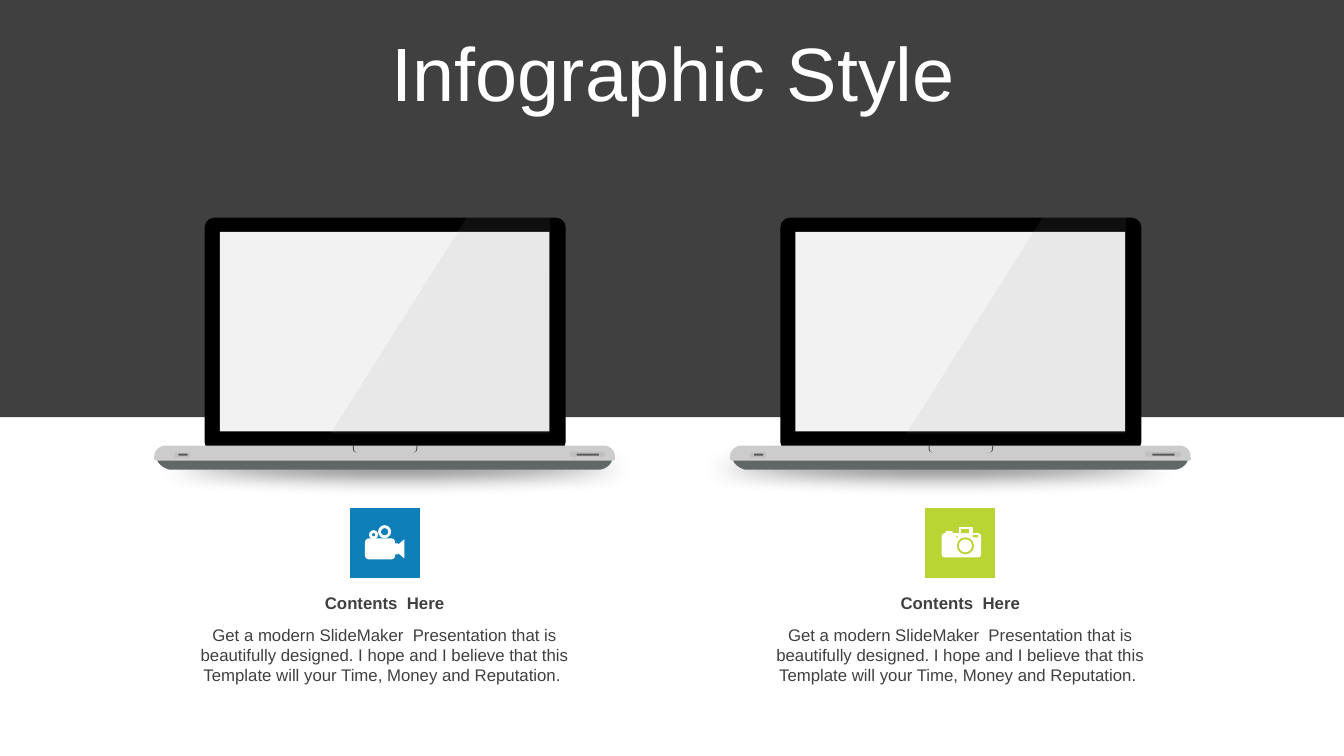
from lxml import etree
from pptx import Presentation
from pptx.dml.color import RGBColor
from pptx.enum.shapes import MSO_SHAPE as SHAPE
from pptx.enum.text import MSO_ANCHOR as ANCHOR, PP_ALIGN as ALIGN
from pptx.oxml.ns import qn
from pptx.util import Inches, Pt

WIDTH, HEIGHT = 13.33, 7.5
FIRST_COLUMN, COLUMN_PITCH, COLUMN_WIDTH = 1.53, 5.71, 4.57
LAPTOP_TOP, TILE_TOP, TILE_SIZE = 2.16, 5.03, 0.71
FONT, DARK, WHITE = "Arial", "404040", "FFFFFF"
BODY = ("Get a modern SlideMaker  Presentation that is beautifully designed. "
        "I hope and I believe that this Template will your Time, Money and Reputation. ")


def paint(target, color):
    target.solid()
    target.fore_color.rgb = RGBColor.from_string(color)


def finish(part, color):
    part.shadow.inherit = False
    paint(part.fill, color)
    part.line.fill.background()
    return part


def shape(slide, kind, origin, box, color, corner=None):
    """Add a borderless preset shape whose box is relative to origin."""
    left, top, width, height = box
    part = slide.shapes.add_shape(kind, Inches(origin[0] + left), Inches(origin[1] + top),
                                  Inches(width), Inches(height))
    if corner is not None:
        part.adjustments[0] = corner
    return finish(part, color)


def outline(slide, origin, color, *contours):
    """Add one filled freeform from closed contours relative to origin."""
    builder = None
    for contour in contours:
        start, *others = [(Inches(origin[0] + x), Inches(origin[1] + y)) for x, y in contour]
        if builder is None:
            builder = slide.shapes.build_freeform(*start)
        else:
            builder.move_to(*start)
        builder.add_line_segments(others, close=True)
    return finish(builder.convert_to_shape(), color)


def curve(p0, p1, p2, p3, steps=8):
    """Sample a cubic curve."""
    points = []
    for step in range(steps + 1):
        t = step / steps
        weights = ((1 - t) ** 3, 3 * t * (1 - t) ** 2, 3 * t * t * (1 - t), t ** 3)
        points.append(tuple(sum(w * p[axis] for w, p in zip(weights, (p0, p1, p2, p3)))
                            for axis in (0, 1)))
    return points


def write(frame, text, size, color, bold=False, anchor=ANCHOR.TOP, spacing=None):
    frame.word_wrap = True
    frame.vertical_anchor = anchor
    frame.text = text
    paragraph = frame.paragraphs[0]
    paragraph.alignment = ALIGN.CENTER
    paragraph.line_spacing = spacing
    paragraph.space_before = Pt(0)
    font = paragraph.font
    font.name, font.size, font.bold = FONT, Pt(size), bold
    font.color.rgb = RGBColor.from_string(color)


def backdrop(slide):
    for left in (0.7, 6.09):
        shadow = shape(slide, SHAPE.OVAL, (left, 4.36), (0, 0, 6.46, 0.57), "808080")
        effects = shadow.element.spPr.find(qn("a:effectLst"))
        etree.SubElement(effects, qn("a:softEdge"), rad="177800")
    return shape(slide, SHAPE.RECTANGLE, (0, 0), (0, 0, WIDTH, 4.14), DARK)


def heading(slide, band):
    """Fill the title and bring it in front of the dark band."""
    title = slide.shapes.title
    title.left, title.top = Inches(0.35), Inches(0.37)
    title.width, title.height = Inches(12.66), Inches(0.79)
    write(title.text_frame, "Infographic Style", 54, WHITE, anchor=ANCHOR.MIDDLE, spacing=0.9)
    band.element.addnext(title.element)


def laptop(slide, origin):
    foot = (curve((4.54, 2.41), (4.51, 2.49), (4.42, 2.5), (4.42, 2.5))
            + curve((0.15, 2.5), (0.12, 2.49), (0.06, 2.47), (0.03, 2.41))
            + [(0.03, 2.37), (4.54, 2.37)])
    outline(slide, origin, "5F6767", foot)
    shape(slide, SHAPE.ROUNDED_RECTANGLE, origin, (0.5, 0, 3.58, 2.32), "000000", 0.04)
    shape(slide, SHAPE.RECTANGLE, origin, (0.65, 0.14, 3.27, 1.98), "F2F2F2")
    base = (curve((0.12, 2.26), (0.05, 2.26), (0, 2.31), (0, 2.37))
            + curve((0, 2.39), (0, 2.41), (0.03, 2.41), (0.06, 2.41))
            + curve((4.53, 2.41), (4.58, 2.41), (4.57, 2.4), (4.57, 2.37))
            + curve((4.57, 2.37), (4.57, 2.31), (4.52, 2.26), (4.46, 2.26)))
    outline(slide, origin, "CCCCCC", base)
    notches = [curve((edge, 2.26), (edge, 2.31), (edge, 2.32), (edge + 4 * inward, 2.33))
               + curve((edge + 4 * inward, 2.33), (edge + inward, 2.32),
                       (edge + inward, 2.31), (edge + inward, 2.26))
               for edge, inward in ((1.97, 0.01), (2.61, -0.01))]
    outline(slide, origin, "4D4D4D", *notches)
    for port, color in (((0.2, 2.33, 0.16, 0.05), "BFBFBF"), ((0.24, 2.34, 0.09, 0.02), "595959"),
                        ((4.12, 2.32, 0.35, 0.05), "BFBFBF"), ((4.19, 2.34, 0.22, 0.02), "595959")):
        shape(slide, SHAPE.ROUNDED_RECTANGLE, origin, port, color, 0.28)
    glare = outline(slide, origin, "999999", [(3.1, 0), (3.93, 0), (3.92, 2.14), (1.75, 2.14)])
    tint = glare.element.spPr.find(qn("a:solidFill"))[0]
    etree.SubElement(tint, qn("a:alpha"), val="10000")


def video_icon(slide, origin, color):
    shape(slide, SHAPE.ROUNDED_RECTANGLE, origin, (0.16, 0.31, 0.3, 0.21), WHITE, 0.19)
    shape(slide, SHAPE.RECTANGLE, origin, (0.45, 0.36, 0.04, 0.11), WHITE)
    outline(slide, origin, WHITE, [(0.48, 0.38), (0.55, 0.32), (0.55, 0.51), (0.48, 0.45)])
    for left, top, size, rim in ((0.2, 0.23, 0.09, 0.03), (0.29, 0.18, 0.13, 0.03)):
        hole = size - 2 * rim
        shape(slide, SHAPE.OVAL, origin, (left, top, size, size), WHITE)
        shape(slide, SHAPE.OVAL, origin, (left + rim, top + rim, hole, hole), color)


def photo_icon(slide, origin, color):
    for box, tone, corner in (((0.17, 0.26, 0.39, 0.24), WHITE, 0.12),
                              ((0.21, 0.24, 0.07, 0.04), WHITE, 0.1),
                              ((0.34, 0.2, 0.14, 0.08), WHITE, 0.1),
                              ((0.36, 0.22, 0.08, 0.04), color, 0),
                              ((0.31, 0.29, 0.02, 0.01), color, 0),
                              ((0.48, 0.28, 0.05, 0.02), color, 0)):
        shape(slide, SHAPE.ROUNDED_RECTANGLE, origin, box, tone, corner)
    shape(slide, SHAPE.OVAL, origin, (0.32, 0.3, 0.17, 0.17), color)
    shape(slide, SHAPE.OVAL, origin, (0.34, 0.32, 0.13, 0.13), WHITE)


def caption(slide, left, color, icon):
    origin = (left + (COLUMN_WIDTH - TILE_SIZE) / 2, TILE_TOP)
    tile = shape(slide, SHAPE.RECTANGLE, origin, (0, 0, TILE_SIZE, TILE_SIZE), color)
    paint(tile.line.fill, WHITE)
    tile.line.width = Pt(1)
    icon(slide, origin, color)
    text_width = 4.02
    text_left = left + (COLUMN_WIDTH - text_width) / 2
    for text, top, height, bold in (("Contents  Here", 5.83, 0.3, True), (BODY, 6.15, 0.71, False)):
        box = slide.shapes.add_textbox(Inches(text_left), Inches(top),
                                       Inches(text_width), Inches(height))
        write(box.text_frame, text, 12, DARK, bold=bold)


def main():
    deck = Presentation()
    deck.slide_width, deck.slide_height = Inches(WIDTH), Inches(HEIGHT)
    slide = deck.slides.add_slide(deck.slide_layouts[5])
    band = backdrop(slide)
    heading(slide, band)
    for column, (color, icon) in enumerate((("0E7FB7", video_icon), ("B9D533", photo_icon))):
        left = FIRST_COLUMN + column * COLUMN_PITCH
        laptop(slide, (left, LAPTOP_TOP))
        caption(slide, left, color, icon)
    deck.save("out.pptx")


if __name__ == "__main__":
    main()
